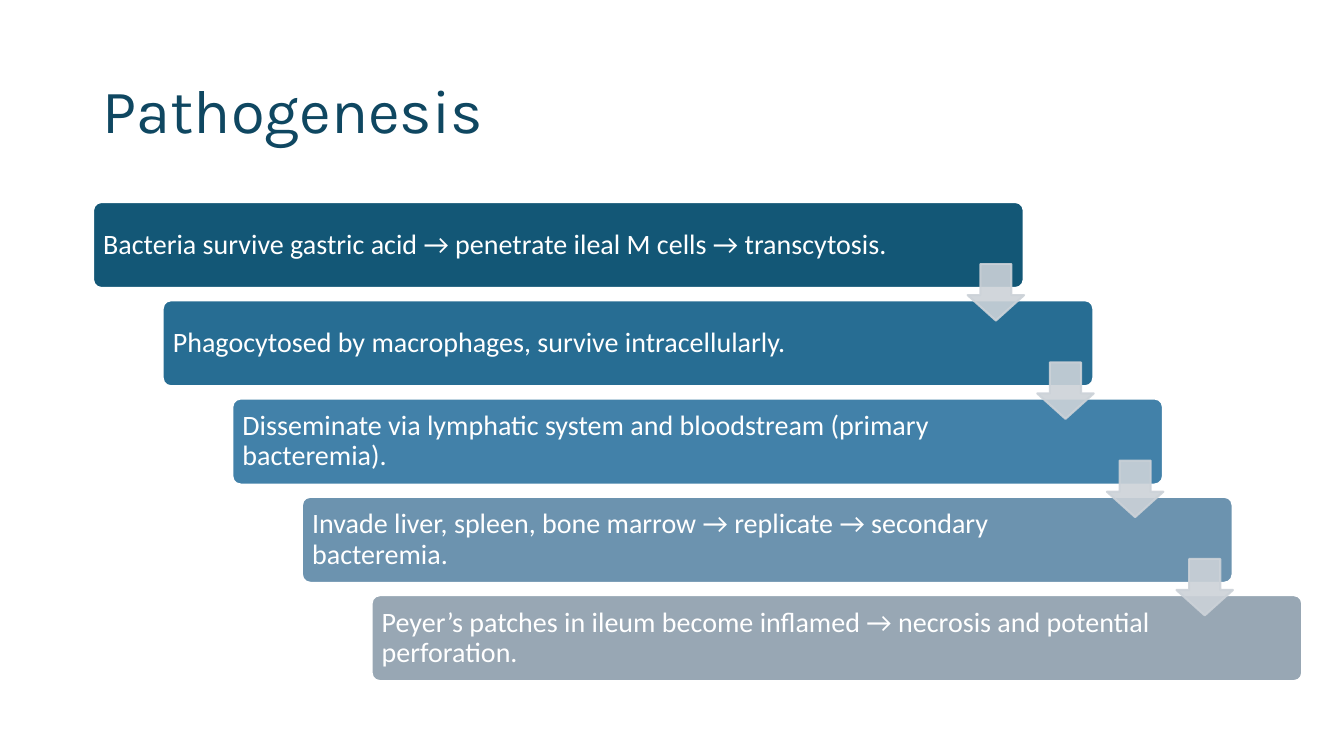
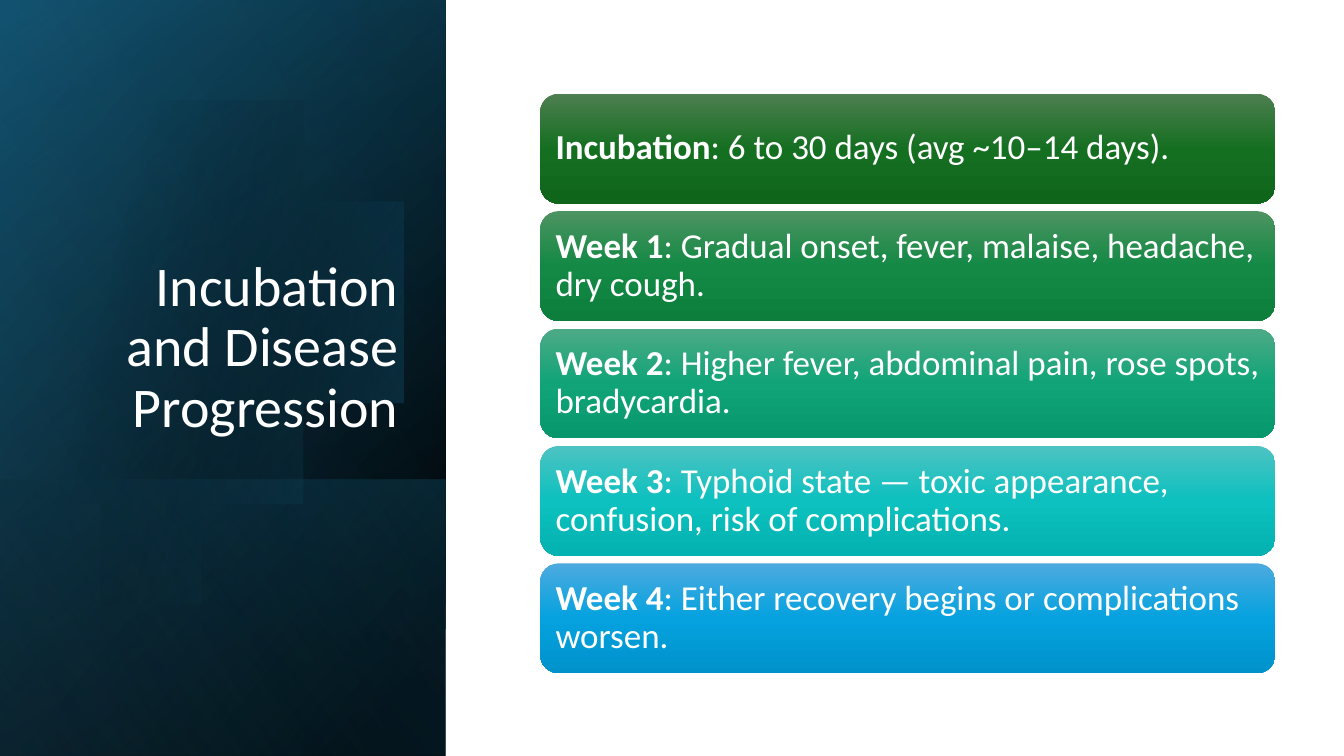
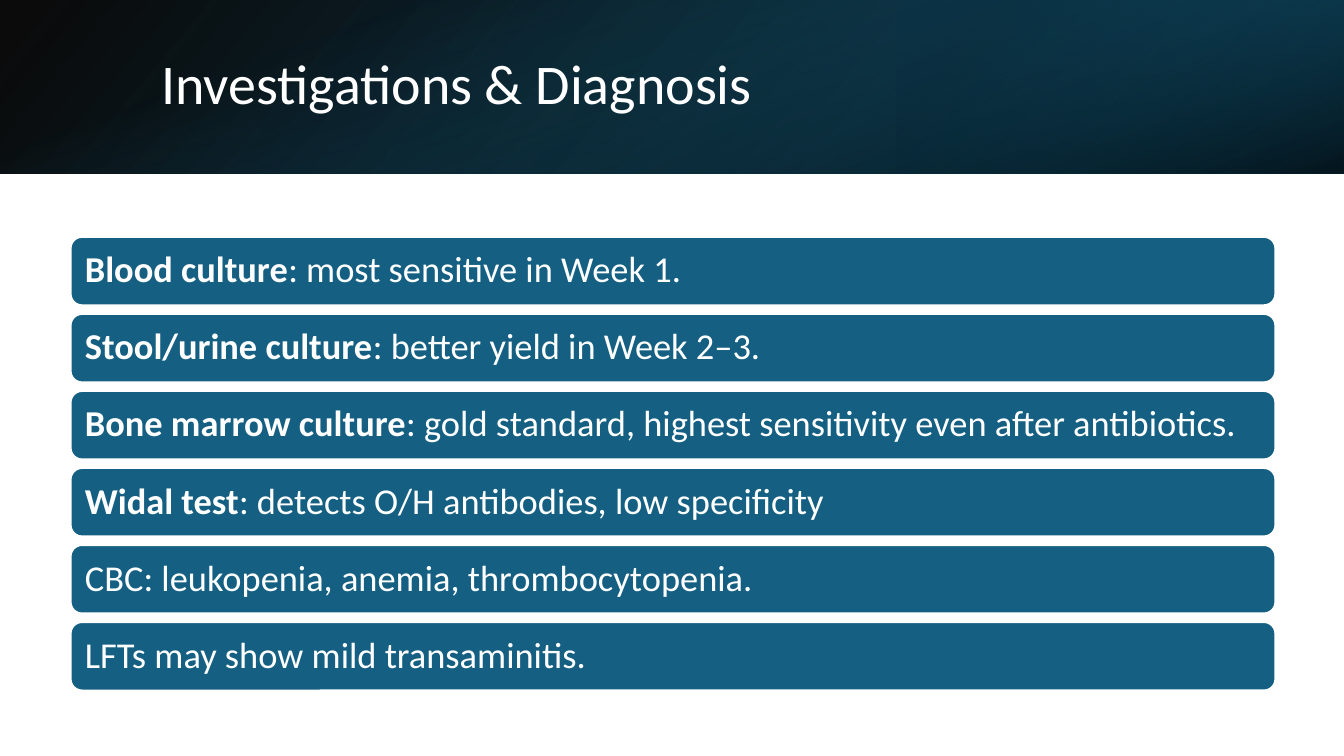
"""Build three slides on the course and diagnosis of typhoid fever."""
import math

import pptx
import pptx.util
import pptx.dml.color
import pptx.enum.shapes
import pptx.enum.text
import pptx.oxml.ns
import lxml.etree

C = {
    "white": "FFFFFF", "black": "000000", "title": "0F4761",
    "accent": "156082", "deep": "104862", "night": "0B3041", "glow": "46B1E1",
    "step1": "135776", "step2": "276D93", "step3": "4281A9",
    "step4": "6C93AF", "step5": "98A7B4", "arrow": "CCD2D8",
    "leaf_top": "4D7E50", "leaf_mid": "156F21", "leaf_low": "0F661B",
    "emerald_top": "4D9361", "emerald_mid": "138945", "emerald_low": "0D7E3C",
    "jade_top": "4DAA86", "jade_mid": "10A478", "jade_low": "08976D",
    "teal_top": "4CC3C2", "teal_mid": "0CC1BF", "teal_low": "03B2B1",
    "sky_top": "4CAADF", "sky_mid": "05A2DF", "sky_low": "0092CB",
}
Pt, Inches = pptx.util.Pt, pptx.util.Inches
RGB = pptx.dml.color.RGBColor.from_string
MSO = pptx.enum.shapes.MSO_SHAPE
ALIGN = pptx.enum.text.PP_ALIGN
ANCHOR = pptx.enum.text.MSO_ANCHOR
qn = pptx.oxml.ns.qn

prs = pptx.Presentation()
prs.slide_width, prs.slide_height = Inches(13.33), Inches(7.5)
W, H = prs.slide_width / 100, prs.slide_height / 100


def place(sp, at=None, fill=None, line=None, width=1.5, stops=None, angle=0):
    """Set place in percent of the slide, fill or gradient stops, and line."""
    if at:
        sp.left, sp.top, sp.width, sp.height = (
            round(v * unit) for v, unit in zip(at, (W, H, W, H)))
    if stops:
        sp.fill.gradient()
        sp.fill.gradient_angle = 360 - angle
        gs_list = sp._element.spPr.find(qn("a:gradFill")).find(qn("a:gsLst"))
        for gs in list(gs_list):
            gs_list.remove(gs)
        for pos, colour, alpha in stops:
            gs = lxml.etree.SubElement(gs_list, qn("a:gs"), pos=str(pos * 1000))
            clr = lxml.etree.SubElement(gs, qn("a:srgbClr"), val=C[colour])
            lxml.etree.SubElement(clr, qn("a:alpha"), val=str(alpha * 1000))
    else:
        sp.fill.solid()
        sp.fill.fore_color.rgb = RGB(C[fill])
    sp.shadow.inherit = False
    if line:
        sp.line.color.rgb = RGB(C[line])
        sp.line.width = Pt(width)
    else:
        sp.line.fill.background()
    return sp


def write(sp, text, lead="", size=20, font="Calibri", colour="white",
          align=ALIGN.LEFT, anchor=ANCHOR.MIDDLE, inset=0.1, right=None):
    """Write one paragraph, with an optional bold lead."""
    tf = sp.text_frame
    tf.word_wrap = True
    tf.auto_size = pptx.enum.text.MSO_AUTO_SIZE.NONE
    tf.vertical_anchor = anchor
    tf.margin_left = tf.margin_top = tf.margin_bottom = Inches(inset)
    tf.margin_right = Inches(right or inset)
    p = tf.paragraphs[0]
    p.alignment = align
    p.line_spacing = 0.9
    for part, bold in ((lead, True), (text, False)):
        if part:
            r = p.add_run()
            r.text = part
            r.font.size, r.font.name, r.font.bold = Pt(size), font, bold
            r.font.color.rgb = RGB(C[colour])


titles = [
    ("Pathogenesis", (6.9, 5.33, 86.27, 19.33),
     dict(size=44, font="Karla", colour="title")),
    ("Incubation and Disease Progression", (4.8, 24.53, 25.58, 34.93),
     dict(size=40, align=ALIGN.RIGHT, anchor=ANCHOR.BOTTOM)),
    ("Investigations & Diagnosis", (11.25, 5.07, 82.37, 12.8), dict(size=40)),
]
panel = (0, 0, 33.16, 100)
band = (0, 0, 100, 22.93)
backdrops = [
    [],
    [(panel, 220, [(8, "black", 100), (100, "deep", 100)]),
     (panel, 240, [(0, "black", 0), (99, "accent", 46)]),
     ((0, 63.47, 33.16, 36.53), 140, [(2, "accent", 29), (100, "black", 30)]),
     ("disc", 14, [(29, "black", 0), (100, "accent", 43)]),
     (panel, 150, [(0, "black", 0), (99, "glow", 11)])],
    [(band, 40, [(0, "black", 96), (100, "deep", 100)]),
     ((66.69, 0, 33.31, 22.93), 40, [(19, "night", 68), (100, "accent", 79)]),
     (band, 70, [(23, "accent", 0), (99, "black", 74)])],
]
disc = [(max(0, 1.43 + 2.28 * math.cos(math.radians(a))),
         3.38 + 2.28 * math.sin(math.radians(a))) for a in range(-128, 129, 2)]

slides = []
for (text, at, style), layers in zip(titles, backdrops):
    s = prs.slides.add_slide(prs.slide_layouts[5])
    for where, angle, stops in layers:
        if where == "disc":
            outline = s.shapes.build_freeform(*disc[0], scale=Inches(1))
            outline.add_line_segments(disc[1:], close=True)
            place(outline.convert_to_shape(), stops=stops, angle=angle)
        else:
            sp = s.shapes.add_shape(MSO.RECTANGLE, 0, 0, 0, 0)
            place(sp, where, stops=stops, angle=angle)
    title = s.shapes.title
    title.left, title.top, title.width, title.height = (
        round(v * unit) for v, unit in zip(at, (W, H, W, H)))
    write(title, text, **style)
    s.shapes._spTree.append(title._element)
    slides.append(s)

steps = [
    "Bacteria survive gastric acid → penetrate ileal M cells → transcytosis.",
    "Phagocytosed by macrophages, survive intracellularly.",
    "Disseminate via lymphatic system and bloodstream (primary bacteremia).",
    "Invade liver, spleen, bone marrow → replicate → secondary bacteremia.",
    "Peyer’s patches in ileum become inflamed → necrosis and potential perforation.",
]
s = slides[0]
for i, text in enumerate(steps):
    sp = s.shapes.add_shape(MSO.ROUNDED_RECTANGLE, 0, 0, 0, 0)
    sp.adjustments[0] = 0.1
    place(sp, (6.9 + 5.18 * i, 26.67 + 13 * i, 69.3, 11.47),
          fill=f"step{i + 1}", line="white", width=2)
    write(sp, text, inset=0.08, right=1.2)
for i in range(len(steps) - 1):
    sp = s.shapes.add_shape(MSO.DOWN_ARROW, 0, 0, 0, 0)
    sp.adjustments[0], sp.adjustments[1] = 0.55, 0.45
    place(sp, (72 + 5.18 * i, 34.93 + 13 * i, 4.2, 7.47),
          fill="arrow", line="arrow")
    for clr in sp._element.spPr.iter(qn("a:srgbClr")):
        lxml.etree.SubElement(clr, qn("a:alpha"), val="90000")

weeks = [
    ("leaf", "Incubation", ": 6 to 30 days (avg ~10–14 days)."),
    ("emerald", "Week 1", ": Gradual onset, fever, malaise, headache, dry cough."),
    ("jade", "Week 2", ": Higher fever, abdominal pain, rose spots, bradycardia."),
    ("teal", "Week 3",
     ": Typhoid state — toxic appearance, confusion, risk of complications."),
    ("sky", "Week 4", ": Either recovery begins or complications worsen."),
]
s = slides[1]
for i, (hue, lead, text) in enumerate(weeks):
    sp = s.shapes.add_shape(MSO.ROUNDED_RECTANGLE, 0, 0, 0, 0)
    place(sp, (40.2, 12.4 + 15.53 * i, 54.69, 14.53), angle=90,
          stops=[(0, f"{hue}_top", 100), (50, f"{hue}_mid", 100),
                 (100, f"{hue}_low", 100)])
    write(sp, text, lead=lead, size=25)

tests = [
    ("Blood culture", ": most sensitive in Week 1."),
    ("Stool/urine culture", ": better yield in Week 2–3."),
    ("Bone marrow culture",
     ": gold standard, highest sensitivity even after antibiotics."),
    ("Widal test", ": detects O/H antibodies, low specificity"),
    ("", "CBC: leukopenia, anemia, thrombocytopenia."),
    ("", "LFTs may show mild transaminitis."),
]
s = slides[2]
for i, (lead, text) in enumerate(tests):
    sp = s.shapes.add_shape(MSO.ROUNDED_RECTANGLE, 0, 0, 0, 0)
    place(sp, (5.25, 31.33 + 10.19 * i, 89.65, 9.07), fill="accent", line="white")
    write(sp, text, lead=lead, size=26, inset=0.11)

prs.save("out.pptx")
